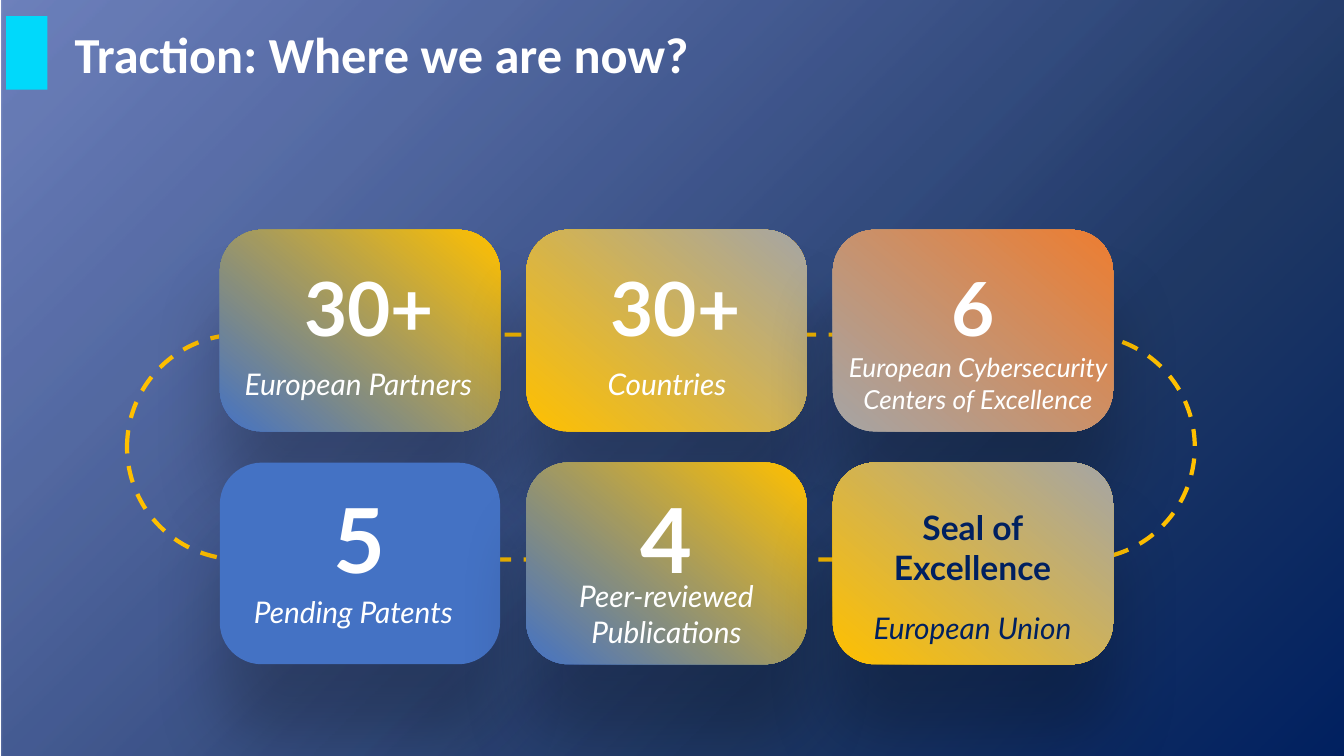
import lxml.etree
import pptx
import pptx.dml.color
import pptx.enum.dml
import pptx.enum.shapes
import pptx.enum.text
import pptx.oxml.ns
import pptx.util

Inches = pptx.util.Inches
Pt = pptx.util.Pt
SHAPE = pptx.enum.shapes.MSO_SHAPE
ALIGN = pptx.enum.text.PP_ALIGN
qn = pptx.oxml.ns.qn

WHITE, NAVY, CYAN = "FFFFFF", "002060", "00D9FB"
GOLD, BLUE, GREY, ORANGE = "FFC000", "4472C4", "A5A5A5", "ED7D31"

TITLE = "Traction: Where we are now?"
# Gradient stops: position %, colour, opacity %
BACKDROP = [(0, "2B479D", 68), (70, "1F3864", 100), (100, NAVY, 100)]

# Headline and caption boxes are (left, top, width, height) within the card
COUNT = dict(size=53.3, box=(0, 0.29, 2.78, 0.96))
BIG_COUNT = dict(size=64, box=(0, 0.21, 2.78, 1.08), inset=(0, 0))
SEAL = dict(size=24, box=(0.29, 0.43, 2.19, 0.86), spacing=0.98)
CARD_ROWS = [
    [
        dict(colours=(BLUE, GOLD), ink=WHITE, headline=" 30+", style=COUNT,
             caption="European Partners", size=21.3, box=(0.13, 1.32, 2.49, 0.43)),
        dict(colours=(GOLD, GREY), ink=WHITE, headline=" 30+", style=COUNT,
             caption="Countries", size=21.3, box=(0.19, 1.32, 2.41, 0.43)),
        dict(colours=(GREY, ORANGE), ink=WHITE, headline="6", style=COUNT,
             caption="European Cybersecurity Centers of Excellence", size=18.7,
             box=(0, 1.18, 2.88, 0.7)),
    ],
    [
        dict(colours=(BLUE,), ink=WHITE, headline="5", style=BIG_COUNT,
             caption="Pending Patents", size=21.3, box=(0.08, 1.27, 2.49, 0.43)),
        dict(colours=(BLUE, GOLD), ink=WHITE, headline="4", style=BIG_COUNT,
             caption="Peer-reviewed Publications", size=21.3, box=(0, 1.11, 2.78, 0.79)),
        dict(colours=(GOLD, GREY), ink=NAVY, headline="Seal of Excellence", style=SEAL,
             caption="European Union", size=21.3, box=(0.18, 1.43, 2.41, 0.43)),
    ],
]
CARD_LEFT, CARD_TOP, CARD_WIDTH, CARD_HEIGHT = 2.18, 2.28, 2.78, 2
COLUMN_PITCH, ROW_PITCH = 3.04, 2.31


def rgb(colour):
    return pptx.dml.color.RGBColor.from_string(colour)


def add_block(slide, kind, box):
    """Add a preset shape without outline or shadow."""
    block = slide.shapes.add_shape(kind, *map(Inches, box))
    block.shadow.inherit = False
    block.line.fill.background()
    return block


def fill_solid(block, colour):
    block.fill.solid()
    block.fill.fore_color.rgb = rgb(colour)


def fill_gradient(block, stops, clockwise_angle):
    block.fill.gradient()
    block.fill.gradient_angle = 360 - clockwise_angle
    stop_list = next(block.fill._xPr.iter(qn("a:gsLst")))
    for old_stop in list(stop_list):
        stop_list.remove(old_stop)
    for position, colour, opacity in stops:
        stop = lxml.etree.SubElement(stop_list, qn("a:gs"), pos=str(position * 1000))
        tone = lxml.etree.SubElement(stop, qn("a:srgbClr"), val=colour)
        if opacity < 100:
            lxml.etree.SubElement(tone, qn("a:alpha"), val=str(opacity * 1000))


def add_drop_shadow(block):
    effects = block._element.spPr.find(qn("a:effectLst"))
    shadow = lxml.etree.SubElement(
        effects, qn("a:outerShdw"), blurRad=str(Pt(50)), dist=str(Pt(50)),
        dir=str(90 * 60000), algn="t", rotWithShape="0")
    tone = lxml.etree.SubElement(shadow, qn("a:srgbClr"), val="000000")
    lxml.etree.SubElement(tone, qn("a:alpha"), val="23000")


def add_text(slide, text, box, size, colour, font="Lato", bold=False, italic=False,
             align=ALIGN.CENTER, inset=(0.07, 0.03), spacing=None):
    frame = slide.shapes.add_textbox(*map(Inches, box)).text_frame
    frame.word_wrap = True
    frame.margin_left = frame.margin_right = Inches(inset[0])
    frame.margin_top = frame.margin_bottom = Inches(inset[1])
    paragraph = frame.paragraphs[0]
    paragraph.text = text
    paragraph.alignment = align
    paragraph.line_spacing = spacing
    paragraph.font.name = font
    paragraph.font.size = Pt(size)
    paragraph.font.bold = bold
    paragraph.font.italic = italic
    paragraph.font.color.rgb = rgb(colour)


def add_card(slide, card, left, top):
    panel = add_block(slide, SHAPE.ROUNDED_RECTANGLE, (left, top, CARD_WIDTH, CARD_HEIGHT))
    panel.adjustments[0] = 0.208
    if len(card["colours"]) == 1:
        fill_solid(panel, card["colours"][0])
    else:
        start, end = card["colours"]
        fill_gradient(panel, [(0, start, 100), (100, end, 100)], 310)
    add_drop_shadow(panel)

    def place(box):
        return (left + box[0], top + box[1], box[2], box[3])

    headline_style = {**card["style"], "box": place(card["style"]["box"])}
    add_text(slide, card["headline"], colour=card["ink"], bold=True, **headline_style)
    add_text(slide, card["caption"], place(card["box"]), card["size"], card["ink"], italic=True)


def main():
    deck = pptx.Presentation()
    deck.slide_width, deck.slide_height = Inches(13.33), Inches(7.5)
    slide = deck.slides.add_slide(deck.slide_layouts[6])

    backdrop = add_block(slide, SHAPE.RECTANGLE, (0.02, -0.04, 13.31, 7.54))
    fill_gradient(backdrop, BACKDROP, 45)
    title_marker = add_block(slide, SHAPE.RECTANGLE, (0.06, 0.16, 0.41, 0.73))
    fill_solid(title_marker, CYAN)
    add_text(slide, TITLE, (0.67, 0.27, 9.67, 0.88), 36, WHITE, font="Calibri",
             bold=True, align=ALIGN.LEFT, spacing=0.9)

    loop = add_block(slide, SHAPE.ROUNDED_RECTANGLE, (1.26, 3.32, 10.59, 2.23))
    loop.adjustments[0] = 0.5
    loop.fill.background()
    loop.line.color.rgb = rgb(GOLD)
    loop.line.width = Pt(3)
    loop.line.dash_style = pptx.enum.dml.MSO_LINE.DASH

    for row, cards in enumerate(CARD_ROWS):
        for column, card in enumerate(cards):
            add_card(slide, card, CARD_LEFT + column * COLUMN_PITCH, CARD_TOP + row * ROW_PITCH)

    deck.save("out.pptx")


if __name__ == "__main__":
    main()
